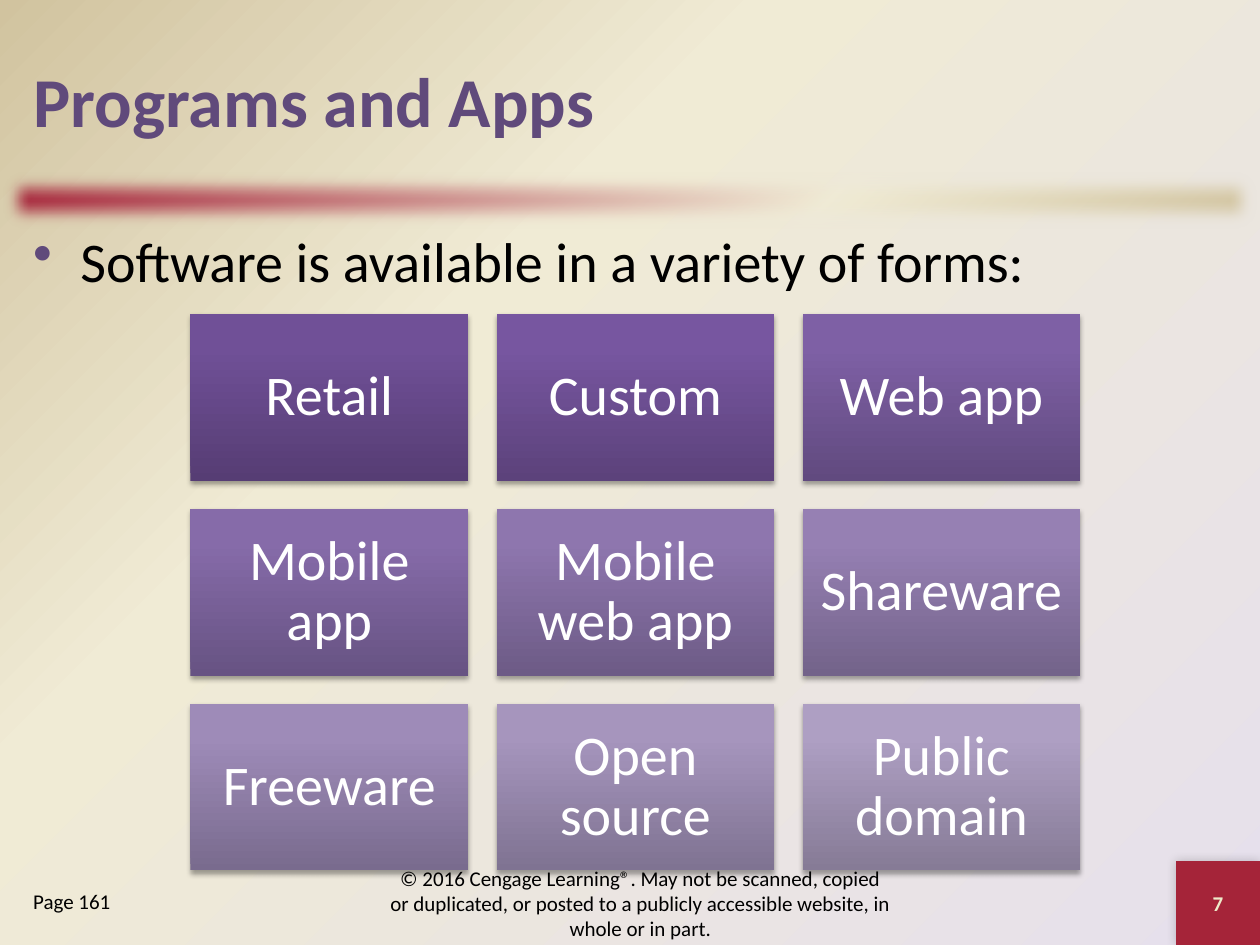
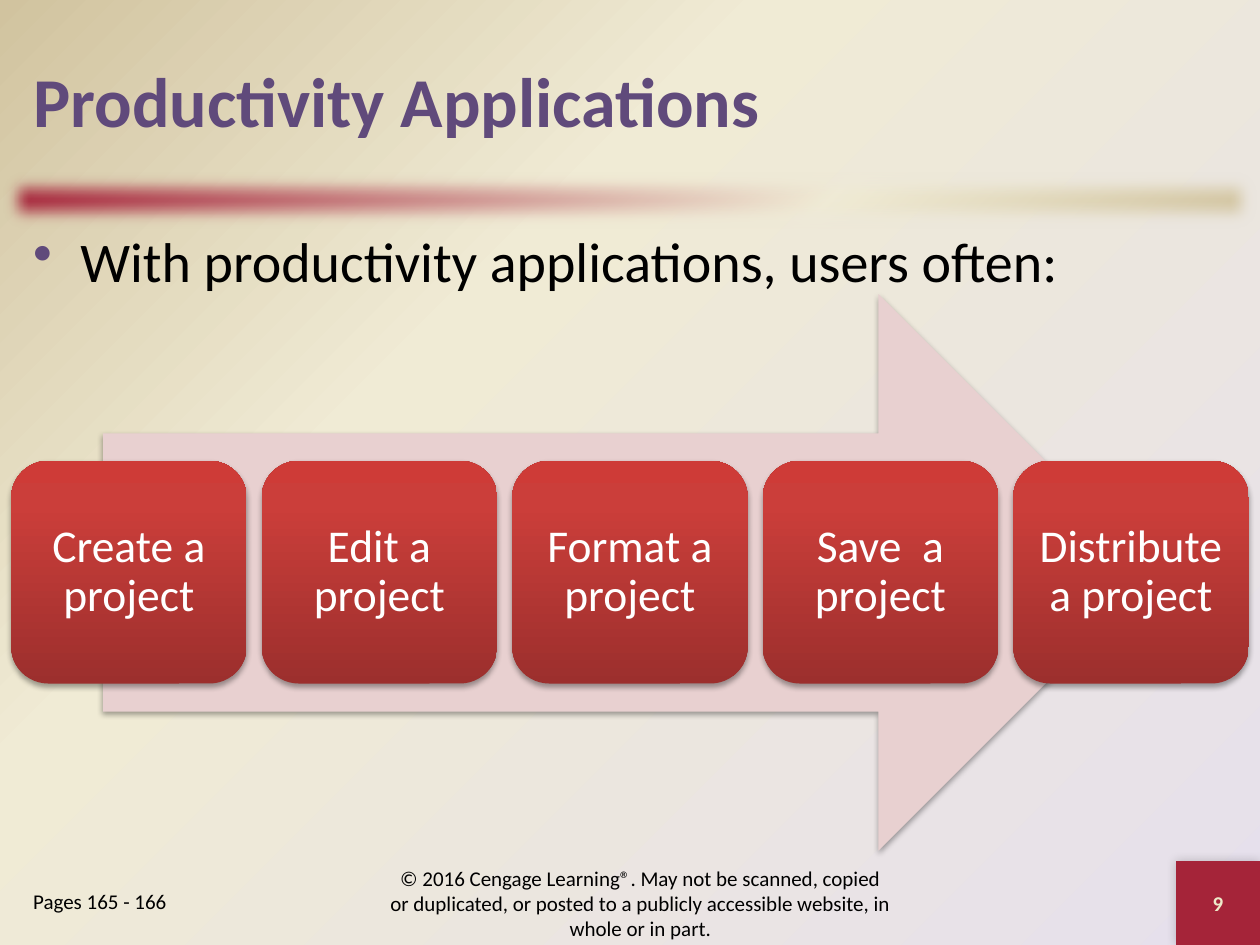
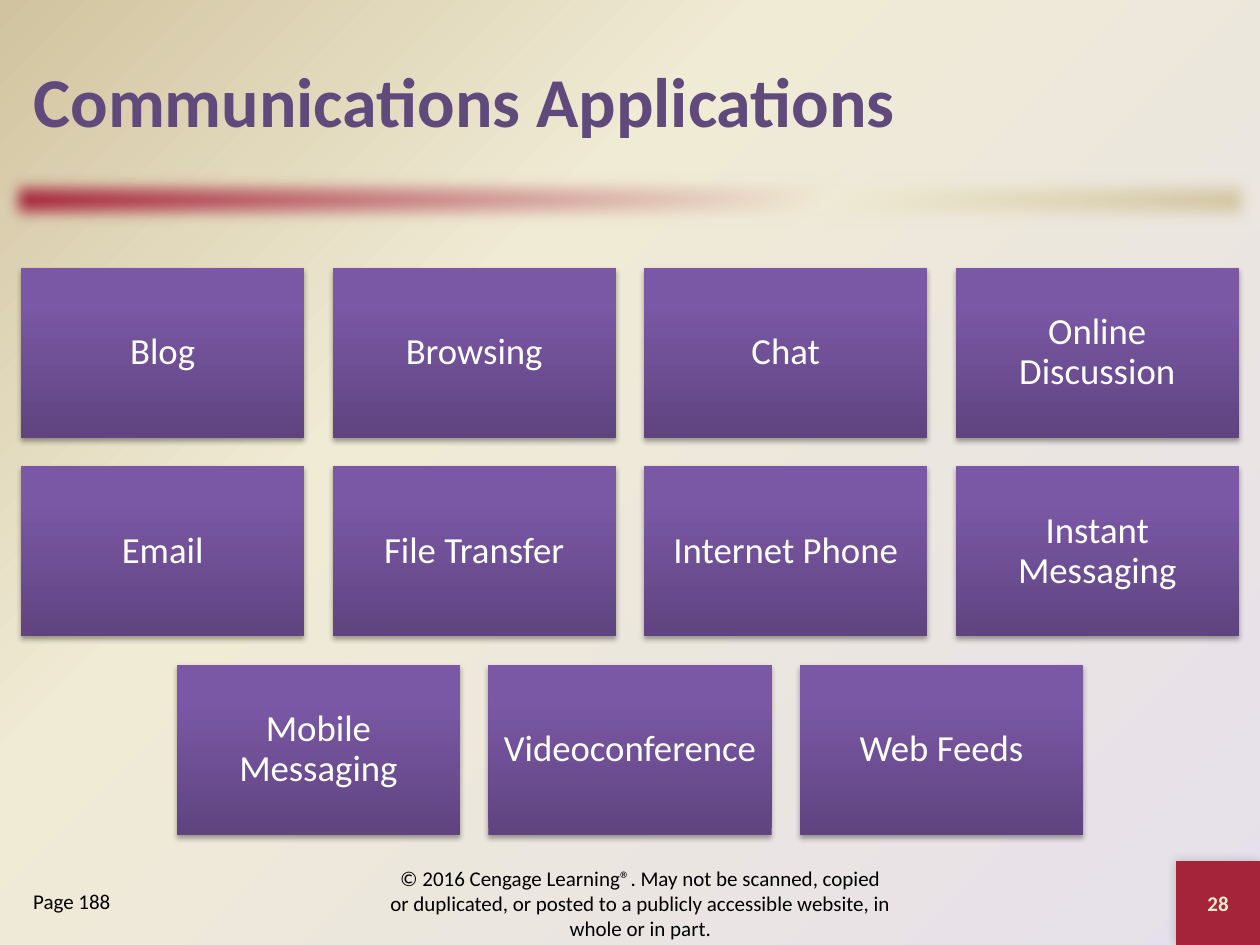
from dataclasses import dataclass

from lxml import etree
from pptx import Presentation
from pptx.dml.color import RGBColor
from pptx.enum.shapes import MSO_SHAPE
from pptx.enum.text import MSO_ANCHOR, MSO_AUTO_SIZE, PP_ALIGN
from pptx.oxml import parse_xml
from pptx.oxml.ns import nsdecls, qn
from pptx.util import Cm, Pt

RECTANGLE = MSO_SHAPE.RECTANGLE
ROUNDED = MSO_SHAPE.ROUNDED_RECTANGLE
ARROW = MSO_SHAPE.RIGHT_ARROW
LEFT, CENTER = PP_ALIGN.LEFT, PP_ALIGN.CENTER
TOP, MIDDLE = MSO_ANCHOR.TOP, MSO_ANCHOR.MIDDLE
NO_FIT = MSO_AUTO_SIZE.NONE
TITLE_ONLY = 5

Stops = tuple[tuple[int, str], ...]


def glossy(bottom: str, middle: str, top: str) -> Stops:
    return (0, bottom), (80, middle), (100, top)


@dataclass(frozen=True)
class Theme:
    font: str = "Calibri"
    purple: str = "604A7B"
    crimson: str = "A52439"
    cream: str = "EEEBCA"
    pink: str = "E8D0D0"
    black: str = "000000"
    white: str = "FFFFFF"
    title_size: int = 40
    body_size: int = 32
    step_size: int = 26
    tile_size: int = 21
    footer_size: int = 12
    page_stops: Stops = ((0, "E6E0EC"), (65, "F0EBD5"), (100, "D1C39F"))
    band_stops: Stops = ((0, "A52439"), (65, "F0EBD5"), (100, "D1C39F"))
    red: tuple[Stops, ...] = (glossy("9C2F2D", "CB3E3A", "CE3B37"),)
    violet: tuple[Stops, ...] = (glossy("5F4480", "7B58A6", "7C57A8"),)
    fading_violet: tuple[Stops, ...] = (
        glossy("563D74", "705097", "704F99"),
        glossy("5C427B", "7756A0", "7755A2"),
        glossy("614A7F", "7E60A5", "7F60A7"),
        glossy("675383", "866BA9", "876BAB"),
        glossy("6D5B86", "8E76AE", "8E75B0"),
        glossy("73638A", "9680B3", "9680B5"),
        glossy("796B8E", "9E8BB8", "9E8BBA"),
        glossy("7F7392", "A695BD", "A695BF"),
        glossy("867B96", "AE9FC3", "AE9FC4"),
    )


@dataclass(frozen=True)
class Area:
    left: float
    top: float
    width: float
    height: float

    def lengths(self) -> tuple[Cm, Cm, Cm, Cm]:
        return Cm(self.left), Cm(self.top), Cm(self.width), Cm(self.height)


@dataclass(frozen=True)
class TileGrid:
    rows: tuple[tuple[str, ...], ...]
    center: float
    top: float
    width: float
    height: float
    gap: float
    size: int
    inset: float
    shades: tuple[Stops, ...]
    kind: MSO_SHAPE = RECTANGLE


@dataclass(frozen=True)
class PageContent:
    title: str
    number: str
    reference: str
    grid: TileGrid
    lead: str = ""
    arrow: Area | None = None


THEME = Theme()
TITLE_AREA = Area(0.42, 0.42, 24.56, 3.18)
LEAD_AREA = Area(0.42, 4.45, 24.56, 12.9)
BAND_AREA = Area(0, 3.39, 25.4, 1.27)
CORNER_AREA = Area(23.71, 17.36, 1.69, 1.69)
REFERENCE_AREA = Area(0.42, 17.78, 4.65, 1.27)
COPYRIGHT_AREA = Area(7.62, 17.57, 10.58, 1.27)
COPYRIGHT = (
    "© 2016 Cengage Learning®. May not be scanned, copied or duplicated, "
    "or posted to a publicly accessible website, in whole or in part."
)

PAGES = (
    PageContent(
        title="Programs and Apps",
        number="7",
        reference="Page 161",
        lead="Software is available in a variety of forms:",
        grid=TileGrid(
            rows=(
                ("Retail", "Custom", "Web app"),
                ("Mobile app", "Mobile web app", "Shareware"),
                ("Freeware", "Open source", "Public domain"),
            ),
            center=12.81, top=6.33, width=5.6, height=3.36, gap=0.57,
            size=THEME.body_size, inset=0.33, shades=THEME.fading_violet,
        ),
    ),
    PageContent(
        title="Productivity Applications",
        number="9",
        reference="Pages 165 - 166",
        lead="With productivity applications, users often:",
        arrow=Area(2.08, 5.93, 21.24, 11.22),
        grid=TileGrid(
            rows=((
                "Create a project", "Edit a project", "Format a project",
                "Save  a project", "Distribute a project",
            ),),
            center=12.7, top=9.29, width=4.75, height=4.49, gap=0.3,
            size=THEME.step_size, inset=0.28, shades=THEME.red, kind=ROUNDED,
        ),
    ),
    PageContent(
        title="Communications Applications",
        number="28",
        reference="Page 188",
        grid=TileGrid(
            rows=(
                ("Blog", "Browsing", "Chat", "Online Discussion"),
                ("Email", "File Transfer", "Internet Phone", "Instant Messaging"),
                ("Mobile Messaging", "Videoconference", "Web Feeds"),
            ),
            center=12.7, top=5.4, width=5.71, height=3.43, gap=0.57,
            size=THEME.tile_size, inset=0.22, shades=THEME.violet,
        ),
    ),
)


def gradient(stops: Stops, direction: str):
    marks = "".join(
        f'<a:gs pos="{position * 1000}"><a:srgbClr val="{color}"/></a:gs>'
        for position, color in stops
    )
    return parse_xml(
        f'<a:gradFill {nsdecls("a")} rotWithShape="1">'
        f"<a:gsLst>{marks}</a:gsLst>{direction}</a:gradFill>"
    )


def linear(degrees: int) -> str:
    return f'<a:lin ang="{degrees * 60000}" scaled="0"/>'


def paint_gradient(fill, properties, stops: Stops, direction: str) -> None:
    fill.background()
    properties.replace(properties.find(qn("a:noFill")), gradient(stops, direction))


def add_shadow(shape, *, opacity: int, blur: float, distance: float, degrees: int) -> None:
    effects = shape._element.spPr.find(qn("a:effectLst"))
    effects.append(parse_xml(
        f'<a:outerShdw {nsdecls("a")} blurRad="{Pt(blur)}" dist="{Pt(distance)}" '
        f'dir="{degrees * 60000}" rotWithShape="0"><a:srgbClr val="{THEME.black}">'
        f'<a:alpha val="{opacity * 1000}"/></a:srgbClr></a:outerShdw>'
    ))


def add_plain_shape(page, kind: MSO_SHAPE, area: Area, *, color: str = "",
                    stops: Stops = (), degrees: int = 270):
    shape = page.shapes.add_shape(kind, *area.lengths())
    shape.shadow.inherit = False
    shape.line.fill.background()
    if color:
        shape.fill.solid()
        shape.fill.fore_color.rgb = RGBColor.from_string(color)
    else:
        paint_gradient(shape.fill, shape._element.spPr, stops, linear(degrees))
    return shape


def write_text(box, text: str, *, size: int, color: str = THEME.black,
               bold: bool = False, align: PP_ALIGN = LEFT, anchor: MSO_ANCHOR = TOP,
               inset: float | None = None, spacing: float | None = None,
               bullet: str = "") -> None:
    frame = box.text_frame
    frame.word_wrap = True
    frame.auto_size = NO_FIT
    frame.vertical_anchor = anchor
    if inset is not None:
        frame.margin_left = frame.margin_right = Cm(inset)
        frame.margin_top = frame.margin_bottom = Cm(inset)
    para = frame.paragraphs[0]
    para.alignment = align
    if spacing:
        para.line_spacing = spacing
    if bullet:
        properties = para._p.get_or_add_pPr()
        properties.set("marL", str(Cm(0.95)))
        properties.set("indent", str(-Cm(0.95)))
        tint = etree.SubElement(properties, qn("a:buClr"))
        etree.SubElement(tint, qn("a:srgbClr"), val=THEME.purple)
        etree.SubElement(properties, qn("a:buChar"), char=bullet)
    span = para.add_run()
    span.text = text
    span.font.name = THEME.font
    span.font.size = Pt(size)
    span.font.bold = bold
    span.font.color.rgb = RGBColor.from_string(color)


def add_text(page, area: Area, text: str, **style) -> None:
    write_text(page.shapes.add_textbox(*area.lengths()), text, **style)


def set_background(master) -> None:
    fill = master.background.fill
    fill.background()
    properties = master._element.find(".//" + qn("p:bgPr"))
    corner = '<a:path path="circle"><a:fillToRect l="100000" t="100000"/></a:path>'
    paint_gradient(fill, properties, THEME.page_stops, corner)


def decorate_layout(layout, page) -> None:
    band = add_plain_shape(page, RECTANGLE, BAND_AREA, stops=THEME.band_stops, degrees=45)
    effects = band._element.spPr.find(qn("a:effectLst"))
    etree.SubElement(effects, qn("a:softEdge"), rad=str(Pt(10)))
    corner = add_plain_shape(page, RECTANGLE, CORNER_AREA, color=THEME.crimson)
    add_shadow(corner, opacity=20, blur=6, distance=0, degrees=225)
    for identifier, shape in enumerate((band, corner), start=20):
        shape._element.nvSpPr.cNvPr.set("id", str(identifier))
        layout.shapes._spTree.append(shape._element)


def add_tiles(page, grid: TileGrid) -> None:
    index = 0
    for row, labels in enumerate(grid.rows):
        pitch = grid.width + grid.gap
        left = grid.center - (len(labels) * pitch - grid.gap) / 2
        top = grid.top + row * (grid.height + grid.gap)
        for column, label in enumerate(labels):
            area = Area(left + column * pitch, top, grid.width, grid.height)
            stops = grid.shades[index % len(grid.shades)]
            tile = add_plain_shape(page, grid.kind, area, stops=stops)
            add_shadow(tile, opacity=35, blur=3.1, distance=1.8, degrees=90)
            write_text(tile, label, size=grid.size, color=THEME.white, align=CENTER,
                       anchor=MIDDLE, inset=grid.inset, spacing=0.9)
            index += 1


def fill_page(page, content: PageContent) -> None:
    title = page.shapes.title
    title.left, title.top, title.width, title.height = TITLE_AREA.lengths()
    write_text(title, content.title, size=THEME.title_size, color=THEME.purple,
               bold=True, anchor=MIDDLE)
    if content.lead:
        add_text(page, LEAD_AREA, content.lead, size=THEME.body_size, bullet="•")
    add_text(page, COPYRIGHT_AREA, COPYRIGHT, size=THEME.footer_size,
             align=CENTER, anchor=MIDDLE)
    add_text(page, CORNER_AREA, content.number, size=THEME.footer_size,
             color=THEME.cream, bold=True, align=CENTER, anchor=MIDDLE)
    add_text(page, REFERENCE_AREA, content.reference, size=THEME.footer_size)
    if content.arrow:
        arrow = add_plain_shape(page, ARROW, content.arrow, color=THEME.pink)
        add_shadow(arrow, opacity=35, blur=3.1, distance=1.8, degrees=90)
    add_tiles(page, content.grid)


def main() -> None:
    deck = Presentation()
    deck.slide_width, deck.slide_height = Cm(25.4), Cm(19.05)
    set_background(deck.slide_master)
    layout = deck.slide_layouts[TITLE_ONLY]
    pages = [deck.slides.add_slide(layout) for _ in PAGES]
    decorate_layout(layout, pages[0])
    for page, content in zip(pages, PAGES):
        fill_page(page, content)
    deck.save("out.pptx")


if __name__ == "__main__":
    main()
